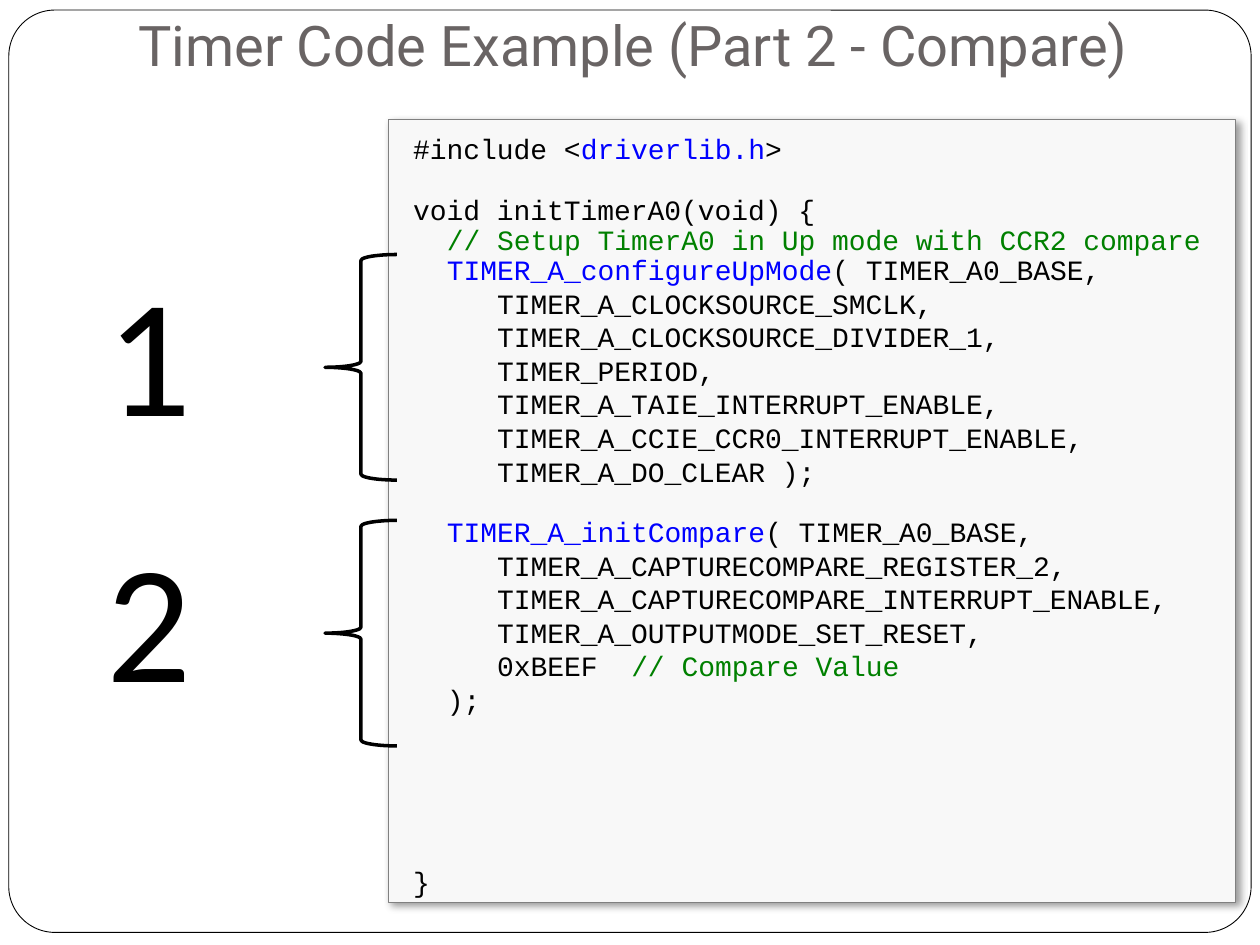
from lxml import etree
from pptx import Presentation
from pptx.dml.color import RGBColor
from pptx.enum.shapes import MSO_SHAPE as Shape
from pptx.enum.text import MSO_ANCHOR as Anchor, PP_ALIGN as Align
from pptx.oxml.ns import qn
from pptx.util import Inches, Pt

BLACK, BLUE, GREEN = "000000", "0000FF", "008000"
TIGHT, NORMAL = 17.3, 19.2  # code line pitch in points


def color(value):
    return RGBColor.from_string(value)


def add_run(paragraph, text, font, size, ink):
    run = paragraph.add_run()
    run.text = text
    run.font.name, run.font.size = font, Pt(size)
    run.font.color.rgb = color(ink)


prs = Presentation()
prs.slide_width, prs.slide_height = Inches(10), Inches(7.5)
slide = prs.slides.add_slide(prs.slide_layouts[6])
shapes = slide.shapes

# Rounded page frame
frame = shapes.add_shape(Shape.ROUNDED_RECTANGLE, Inches(0.07), Inches(0.08),
                         Inches(9.86), Inches(7.32))
frame.adjustments[0] = 0.05
frame.shadow.inherit = False
frame.fill.solid()
frame.fill.fore_color.rgb = color("FFFFFF")
frame.line.color.rgb = color(BLACK)
frame.line.width = Pt(0.5)

# Title
title = shapes.add_textbox(Inches(1), Inches(-0.08), Inches(8.5), Inches(0.8)).text_frame
title.word_wrap = True
title.vertical_anchor = Anchor.BOTTOM
title.margin_bottom = Inches(0.1)
add_run(title.paragraphs[0], "Timer Code Example (Part 2 - Compare)", "Roboto", 32, "696464")

# Code panel with a soft shadow
panel = shapes.add_shape(Shape.RECTANGLE, Inches(3.08), Inches(0.95),
                         Inches(6.73), Inches(6.21))
panel.fill.solid()
panel.fill.fore_color.rgb = color("F8F8F8")
panel.line.color.rgb = color("808080")
panel.line.width = Pt(0.5)
panel.shadow.inherit = False
effects = panel._element.spPr.find(qn("a:effectLst"))
shadow = etree.SubElement(effects, qn("a:outerShdw"), blurRad=str(Pt(4)), dist=str(Pt(3)),
                          dir="2700000", algn="tl", rotWithShape="0")
shadow_color = etree.SubElement(shadow, qn("a:srgbClr"), val=BLACK)
etree.SubElement(shadow_color, qn("a:alpha"), val="40000")

# Code lines: blank lines above, indent in characters, pitch, coloured parts
code_lines = [
    (0, 0, TIGHT, [("#include <", BLACK), ("driverlib.h", BLUE), (">", BLACK)]),
    (1, 0, TIGHT, [("void initTimerA0(void) {", BLACK)]),
    (0, 2, TIGHT, [("// Setup TimerA0 in Up mode with CCR2 compare", GREEN)]),
    (0, 2, TIGHT, [("TIMER_A_configureUpMode", BLUE), ("( TIMER_A0_BASE,", BLACK)]),
    (0, 5, NORMAL, [("TIMER_A_CLOCKSOURCE_SMCLK,", BLACK)]),
    (0, 5, NORMAL, [("TIMER_A_CLOCKSOURCE_DIVIDER_1,", BLACK)]),
    (0, 5, NORMAL, [("TIMER_PERIOD,", BLACK)]),
    (0, 5, NORMAL, [("TIMER_A_TAIE_INTERRUPT_ENABLE,", BLACK)]),
    (0, 5, NORMAL, [("TIMER_A_CCIE_CCR0_INTERRUPT_ENABLE,", BLACK)]),
    (0, 5, NORMAL, [("TIMER_A_DO_CLEAR );", BLACK)]),
    (1, 2, TIGHT, [("TIMER_A_initCompare", BLUE), ("( TIMER_A0_BASE,", BLACK)]),
    (0, 5, NORMAL, [("TIMER_A_CAPTURECOMPARE_REGISTER_2,", BLACK)]),
    (0, 5, NORMAL, [("TIMER_A_CAPTURECOMPARE_INTERRUPT_ENABLE,", BLACK)]),
    (0, 5, NORMAL, [("TIMER_A_OUTPUTMODE_SET_RESET,", BLACK)]),
    (0, 5, NORMAL, [("0xBEEF  ", BLACK), ("// Compare Value", GREEN)]),
    (0, 2, NORMAL, [(");", BLACK)]),
    (5, 0, TIGHT, [("}", BLACK)]),
]
code = panel.text_frame
code.word_wrap = True
code.vertical_anchor = Anchor.TOP
code.margin_left, code.margin_top = Inches(0.2), Inches(0.12)
code.margin_right = code.margin_bottom = 0
for index, (blanks, indent, pitch, parts) in enumerate(code_lines):
    line = code.add_paragraph() if index else code.paragraphs[0]
    line.alignment = Align.LEFT
    line.line_spacing = Pt(pitch)
    line.space_before = Pt(blanks * TIGHT)
    # One Courier character is 0.6 of the 16 pt size
    line._p.get_or_add_pPr().set("marL", str(Pt(indent * 9.6)))
    for text, ink in parts:
        add_run(line, text, "Courier New", 16, ink)

# Step numbers with their braces
for step in range(2):
    offset = 2.11 * step
    number = shapes.add_textbox(Inches(0.75), Inches(2.08 + offset),
                                Inches(1.68), Inches(1.39)).text_frame
    number.word_wrap = False
    number.vertical_anchor = Anchor.MIDDLE
    add_run(number.paragraphs[0], str(step + 1), "Calibri", 96, BLACK)

    brace = shapes.add_shape(Shape.LEFT_BRACE, Inches(2.58), Inches(2.02 + offset),
                             Inches(0.57), Inches(1.79))
    brace.shadow.inherit = False
    brace.fill.background()
    brace.line.color.rgb = color(BLACK)
    brace.line.width = Pt(2)

prs.save("out.pptx")
